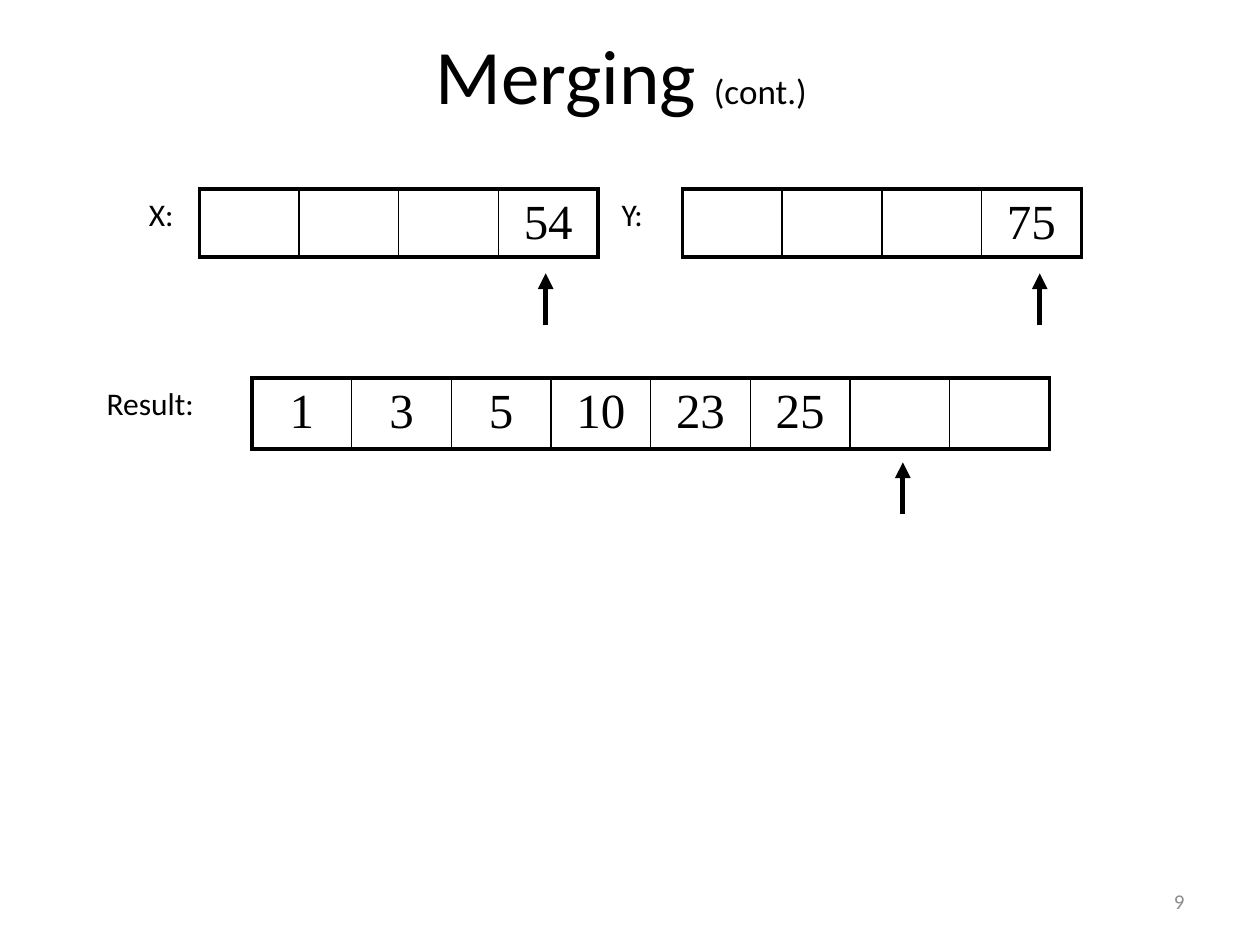
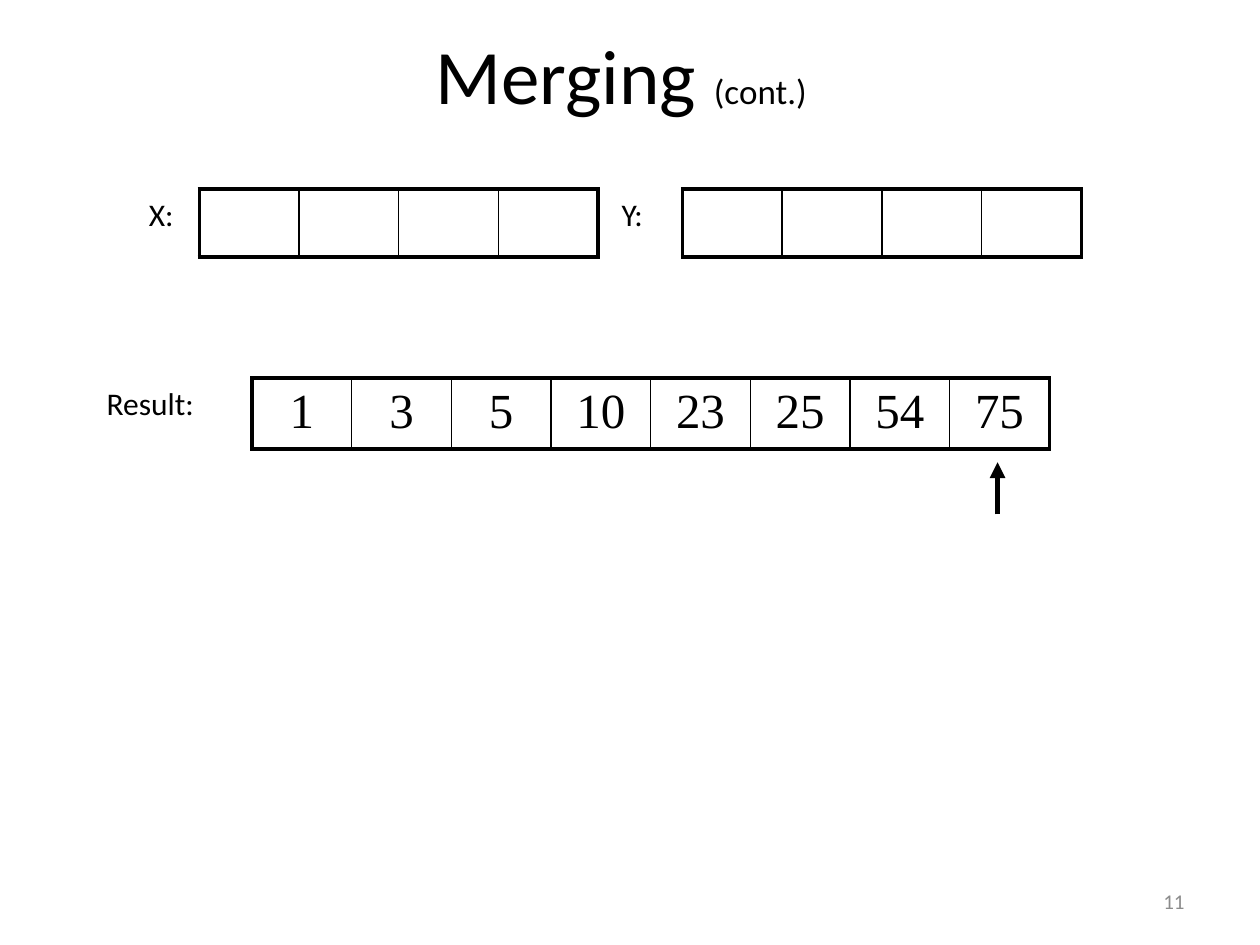
"""Build two slides that show the last steps of merging two sorted arrays."""
from lxml import etree
from pptx import Presentation
from pptx.dml.color import RGBColor
from pptx.enum import shapes, text
from pptx.oxml import ns
from pptx.util import Cm, Pt

BLACK = RGBColor(0x00, 0x00, 0x00)
GREY = RGBColor(0x8C, 0x8C, 0x8C)
SANS, SERIF = "Calibri", "Times New Roman"
CELL_WIDTH = 2.01
THICK, THIN = Pt(2.25), Pt(1)
SOURCE_TOP, RESULT_TOP = 3.81, 7.62
TITLE_RUNS = (("Merging ", 44), ("(cont.)", 20), (" ", 44))


def add_run(paragraph, words, size, font=SANS, color=BLACK):
    run = paragraph.add_run()
    run.text = words
    run.font.size = Pt(size)
    run.font.name = font
    run.font.color.rgb = color


def add_title(slide):
    title = slide.shapes.title
    title.left, title.top = Cm(1.9), Cm(0.43)
    title.width, title.height = Cm(21.6), Cm(2.11)
    title.text_frame.vertical_anchor = text.MSO_ANCHOR.MIDDLE
    heading = title.text_frame.paragraphs[0]
    heading.alignment = text.PP_ALIGN.CENTER
    for words, size in TITLE_RUNS:
        add_run(heading, words, size)


def add_label(slide, words, left, top, width):
    frame = slide.shapes.add_textbox(Cm(left), Cm(top), Cm(width), Cm(1.27)).text_frame
    frame.word_wrap = True
    add_run(frame.paragraphs[0], words, 18)


def add_page_number(slide, number):
    frame = slide.shapes.add_textbox(Cm(18.21), Cm(17.65), Cm(5.92), Cm(1.02)).text_frame
    frame.word_wrap = True
    frame.vertical_anchor = text.MSO_ANCHOR.MIDDLE
    frame.paragraphs[0].alignment = text.PP_ALIGN.RIGHT
    add_run(frame.paragraphs[0], str(number), 12, color=GREY)


def set_border(cell, side, width):
    properties = cell._tc.get_or_add_tcPr()
    border = etree.SubElement(properties, ns.qn(f"a:ln{side}"), w=str(width))
    fill = etree.SubElement(border, ns.qn("a:solidFill"))
    etree.SubElement(fill, ns.qn("a:srgbClr"), val=str(BLACK))


def add_array(slide, values, left, top, height):
    count = len(values)
    array = slide.shapes.add_table(
        1, count, Cm(left), Cm(top), Cm(CELL_WIDTH * count), Cm(height)).table
    array.first_row = array.horz_banding = False
    for index, value in enumerate(values):
        array.columns[index].width = Cm(CELL_WIDTH)
        cell = array.cell(0, index)
        set_border(cell, "L", THICK if index == 0 else THIN)
        set_border(cell, "R", THICK if index == count - 1 else THIN)
        set_border(cell, "T", THICK)
        set_border(cell, "B", THICK)
        cell.fill.background()
        if value is not None:
            entry = cell.text_frame.paragraphs[0]
            entry.alignment = text.PP_ALIGN.CENTER
            add_run(entry, str(value), 28, SERIF)


def add_pointer(slide, x, array_top):
    tip = array_top + 1.7
    pointer = slide.shapes.add_connector(
        shapes.MSO_CONNECTOR.STRAIGHT, Cm(x), Cm(tip + 1.05), Cm(x), Cm(tip))
    pointer.line.color.rgb = BLACK
    pointer.line.width = Pt(3)
    etree.SubElement(pointer.line._get_or_add_ln(), ns.qn("a:tailEnd"), type="triangle")
    etree.SubElement(pointer._element.spPr, ns.qn("a:effectLst"))


def add_merge_step(deck, number, x_values, y_values, result, pointers):
    slide = deck.slides.add_slide(deck.slide_layouts[5])
    add_title(slide)
    add_array(slide, x_values, 4.02, SOURCE_TOP, 1.37)
    add_array(slide, y_values, 13.76, SOURCE_TOP, 1.37)
    add_array(slide, result, 5.08, RESULT_TOP, 1.43)
    for x, array_top in pointers:
        add_pointer(slide, x, array_top)
    add_label(slide, "X:", 2.75, SOURCE_TOP, 1.48)
    add_label(slide, "Y:", 12.28, SOURCE_TOP, 1.48)
    add_label(slide, "Result:", 1.9, RESULT_TOP, 2.96)
    add_page_number(slide, number)


def main():
    deck = Presentation()
    deck.slide_width, deck.slide_height = Cm(25.4), Cm(19.05)
    taken = [None] * 3
    merged = [1, 3, 5, 10, 23, 25]
    add_merge_step(deck, 9, taken + [54], taken + [75], merged + [None] * 2,
                   [(11, SOURCE_TOP), (20.96, SOURCE_TOP), (18.2, RESULT_TOP)])
    add_merge_step(deck, 11, [None] * 4, [None] * 4, merged + [54, 75],
                   [(20.11, RESULT_TOP)])
    deck.save("out.pptx")


main()
